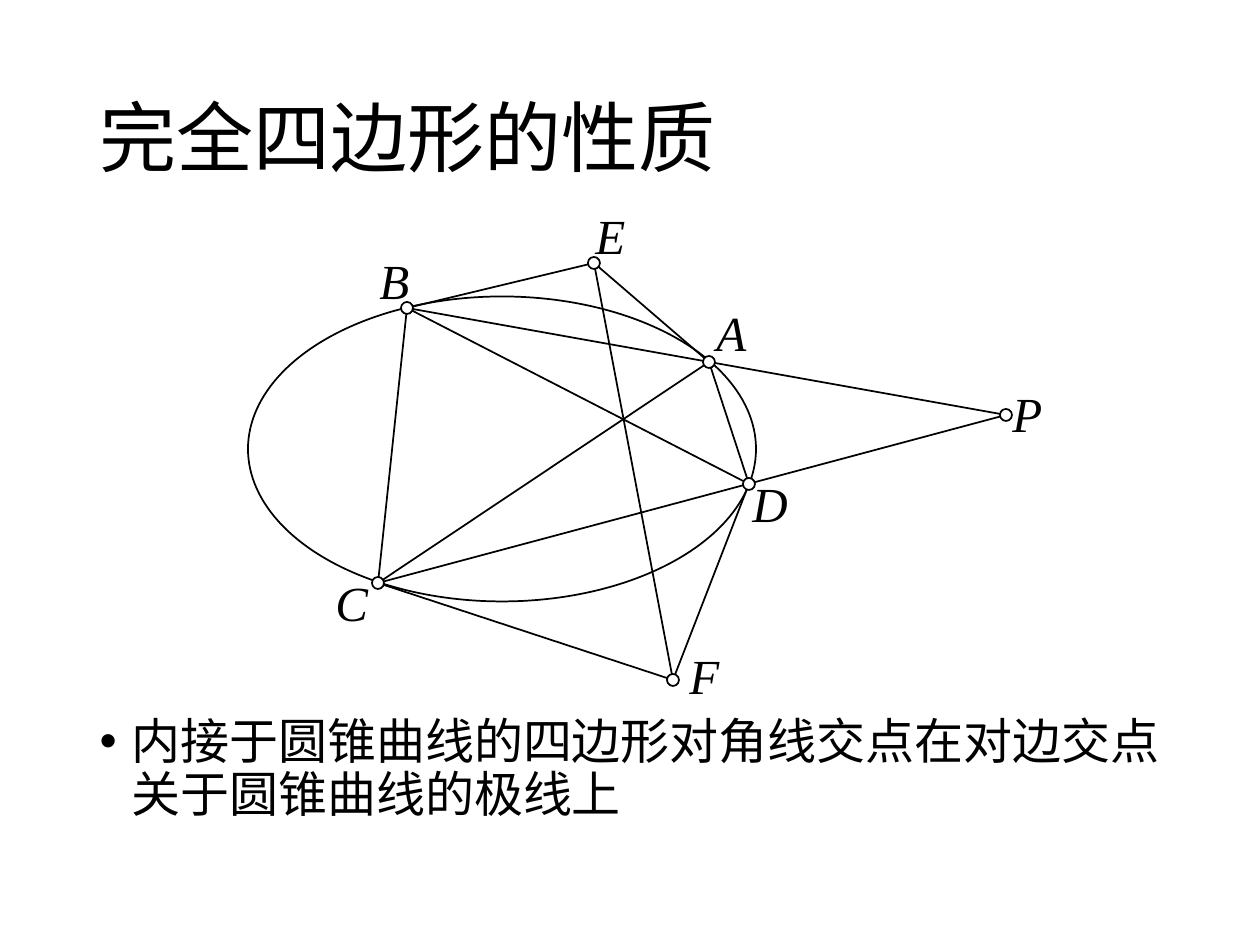
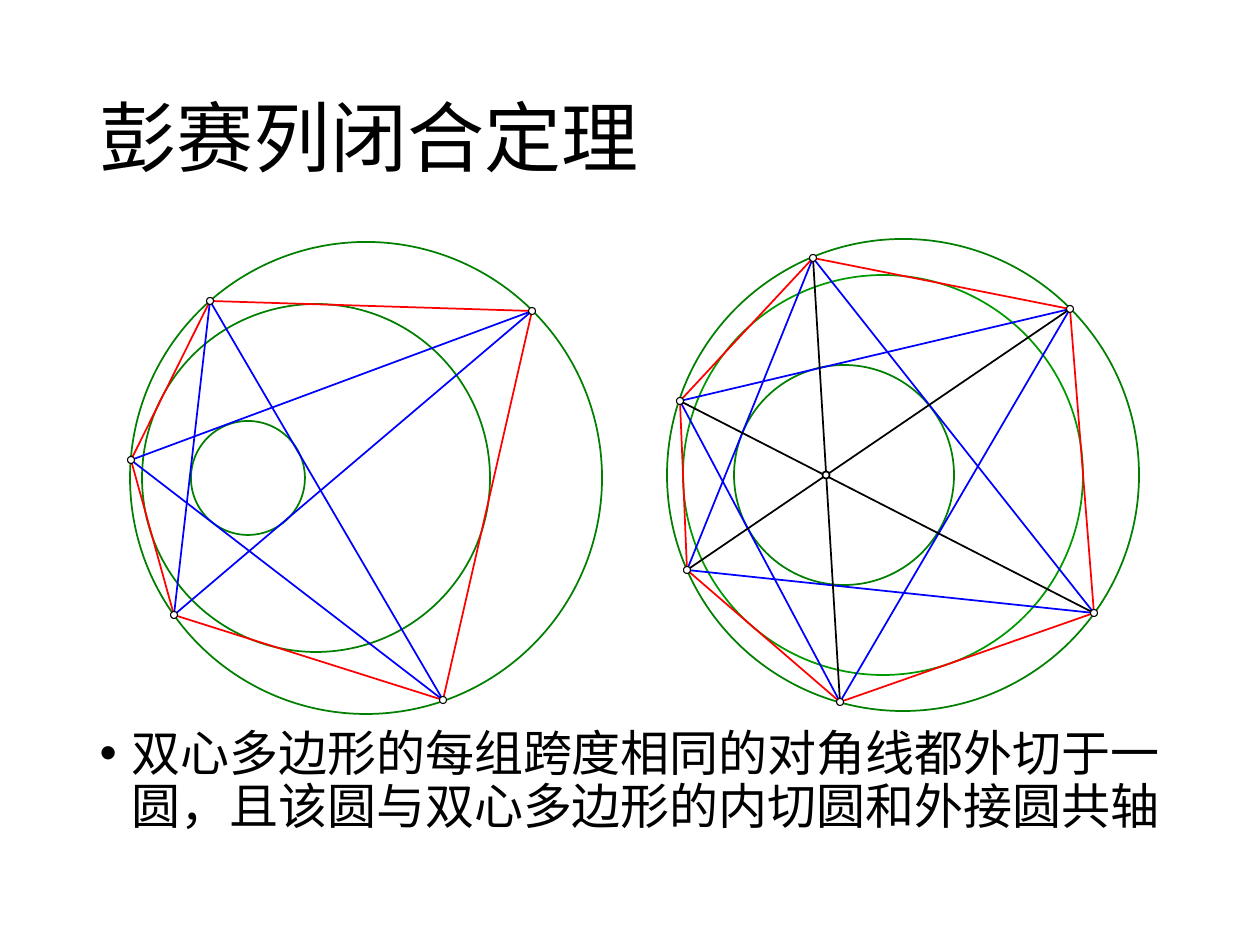
from dataclasses import dataclass
from typing import NamedTuple

from pptx import Presentation
from pptx.dml.color import RGBColor
from pptx.enum.shapes import MSO_CONNECTOR, MSO_SHAPE
from pptx.enum.text import MSO_ANCHOR, MSO_AUTO_SIZE, PP_ALIGN
from pptx.oxml.ns import qn
from pptx.shapes.shapetree import GroupShapes
from pptx.slide import Slide
from pptx.util import Emu, Pt

# Shared style
EMU_PER_PX = 914400 / 126
COLORS = {
    "ink": "000000",
    "paper": "FFFFFF",
    "circle": "007F00",
    "incircle": "009900",
    "side": "FF0000",
    "diagonal": "0000FF",
}
CJK_FONT = "Noto Sans CJK SC"
LABEL_FONT = "Times New Roman"
MARGIN, CONTENT_W = 87, 1086
TITLE_TOP, TITLE_H = 50, 183
BODY_BOTTOM = 852
BULLET_INDENT = 32
LABEL_H = 72


class Point(NamedTuple):
    x: int
    y: int


class Label(NamedTuple):
    text: str
    left: int
    top: int
    width: int = 55


class Oval(NamedTuple):
    center: Point
    rx: float
    ry: float
    color: str = "circle"


@dataclass
class PonceletFigure:
    circles: list[Oval]
    vertices: list[Point]
    chord_colors: dict[int, str]  # vertices spanned -> colour, back to front
    center: Point | None = None


def px(n: float) -> Emu:
    return Emu(round(n * EMU_PER_PX))


def rgb(name: str) -> RGBColor:
    return RGBColor.from_string(COLORS[name])


# Drawing helpers
def draw_oval(shapes: GroupShapes, oval: Oval, weight: float = 1, fill: str | None = None) -> None:
    (x, y), rx, ry, color = oval
    sp = shapes.add_shape(MSO_SHAPE.OVAL, px(x - rx), px(y - ry), px(2 * rx), px(2 * ry))
    sp.shadow.inherit = False
    if fill:
        sp.fill.solid()
        sp.fill.fore_color.rgb = rgb(fill)
    else:
        sp.fill.background()
    sp.line.color.rgb = rgb(color)
    sp.line.width = Pt(weight)


def draw_dot(shapes: GroupShapes, p: Point, size: int, weight: float = 1) -> None:
    draw_oval(shapes, Oval(p, size / 2, size / 2, "ink"), weight, "paper")


def draw_line(shapes: GroupShapes, a: Point, b: Point, color: str = "ink") -> None:
    line = shapes.add_connector(MSO_CONNECTOR.STRAIGHT, px(a.x), px(a.y), px(b.x), px(b.y))
    line.line.color.rgb = rgb(color)
    line.line.width = Pt(1)
    sp_pr = line._element.spPr
    sp_pr.append(sp_pr.makeelement(qn("a:effectLst"), {}))


def add_run(p, text: str, size: int, font: str, italic: bool = False) -> None:
    r = p.add_run()
    r.text = text
    r.font.size = Pt(size)
    r.font.name = font
    r.font.italic = italic
    r.font.color.rgb = rgb("ink")
    r_pr = r.font._element
    r_pr.find(qn("a:latin")).addnext(r_pr.makeelement(qn("a:ea"), {"typeface": font}))


def draw_label(s: Slide, label: Label) -> None:
    box = s.shapes.add_textbox(px(label.left), px(label.top), px(label.width), px(LABEL_H))
    tf = box.text_frame
    tf.word_wrap = False
    tf.auto_size = MSO_AUTO_SIZE.SHAPE_TO_FIT_TEXT
    add_run(tf.paragraphs[0], label.text, 28, LABEL_FONT, italic=True)


def fill_placeholder(sp, top: int, height: int, text: str, size: int, anchor: MSO_ANCHOR):
    sp.left, sp.top, sp.width, sp.height = px(MARGIN), px(top), px(CONTENT_W), px(height)
    tf = sp.text_frame
    tf.word_wrap = True
    tf.auto_size = MSO_AUTO_SIZE.NONE
    tf.vertical_anchor = anchor
    p = tf.paragraphs[0]
    p.alignment = PP_ALIGN.LEFT
    p.line_spacing = 0.9
    p.space_before = Pt(0)
    add_run(p, text, size, CJK_FONT)
    return p


def add_theorem_slide(prs, title: str, theorem: str, body_top: int) -> Slide:
    s = prs.slides.add_slide(prs.slide_layouts[1])
    fill_placeholder(s.shapes.title, TITLE_TOP, TITLE_H, title, 44, MSO_ANCHOR.MIDDLE)
    p = fill_placeholder(s.placeholders[1], body_top, BODY_BOTTOM - body_top,
                         theorem, 28, MSO_ANCHOR.TOP)
    p_pr = p._p.get_or_add_pPr()
    p_pr.set("marL", str(px(BULLET_INDENT)))
    p_pr.set("indent", str(-px(BULLET_INDENT)))
    p_pr.append(p_pr.makeelement(qn("a:buChar"), {"char": "•"}))
    return s


# Complete quadrilateral inscribed in a conic
CONIC = Oval(Point(502, 449), 254, 152.5, "ink")
QUAD_POINTS = {
    "A": Point(709, 362),
    "B": Point(407, 308),
    "C": Point(378, 583),
    "D": Point(749, 484),
    "E": Point(594, 263),
    "F": Point(673, 680),
    "P": Point(1006, 415),
}
QUAD_LINES = ["BD", "AC", "EF", "BE", "EA", "DF", "CF", "BC", "AD", "BP", "CP"]
QUAD_LABELS = [
    Label("A", 704, 296),
    Label("B", 367, 244),
    Label("C", 323, 566, 58),
    Label("D", 740, 467, 62),
    Label("P", 1000, 377),
    Label("E", 583, 199),
    Label("F", 677, 639),
]


def draw_quadrilateral(s: Slide) -> None:
    shapes = s.shapes.add_group_shape().shapes
    draw_oval(shapes, CONIC)
    for start, end in QUAD_LINES:
        draw_line(shapes, QUAD_POINTS[start], QUAD_POINTS[end])
    for p in QUAD_POINTS.values():
        draw_dot(shapes, p, 12)
    for label in QUAD_LABELS:
        draw_label(s, label)


# Bicentric polygons
PENTAGON = PonceletFigure(
    circles=[
        Oval(Point(316, 478), 174, 174),
        Oval(Point(366, 478), 236, 236),
        Oval(Point(248, 478), 57, 57),
    ],
    vertices=[Point(532, 311), Point(210, 301), Point(131, 460),
              Point(174, 615), Point(443, 700)],
    chord_colors={1: "side", 2: "diagonal"},
)
HEXAGON = PonceletFigure(
    circles=[
        Oval(Point(903, 475), 236, 236),
        Oval(Point(844, 475), 110, 110),
        Oval(Point(883, 475), 200, 200, "incircle"),
    ],
    vertices=[Point(1070, 309), Point(813, 258), Point(680, 401),
              Point(687, 570), Point(840, 702), Point(1094, 613)],
    chord_colors={2: "diagonal", 3: "ink", 1: "side"},
    center=Point(826, 475),
)


def draw_poncelet(s: Slide, fig: PonceletFigure) -> None:
    shapes = s.shapes.add_group_shape().shapes
    for circle in fig.circles:
        draw_oval(shapes, circle)
    n = len(fig.vertices)
    for span, color in fig.chord_colors.items():
        count = span if 2 * span == n else n  # opposite vertices share one chord
        for i in range(count):
            draw_line(shapes, fig.vertices[i], fig.vertices[(i + span) % n], color)
    if fig.center:
        draw_dot(shapes, fig.center, 7)
    for vertex in fig.vertices:
        draw_dot(shapes, vertex, 7, 0.63)


def main() -> None:
    prs = Presentation()
    prs.slide_width, prs.slide_height = px(1260), px(945)

    s = add_theorem_slide(prs, "完全四边形的性质",
                          "内接于圆锥曲线的四边形对角线交点在对边交点关于圆锥曲线的极线上", 711)
    draw_quadrilateral(s)

    s = add_theorem_slide(prs, "彭赛列闭合定理",
                          "双心多边形的每组跨度相同的对角线都外切于一圆，"
                          "且该圆与双心多边形的内切圆和外接圆共轴", 723)
    for fig in (PENTAGON, HEXAGON):
        draw_poncelet(s, fig)

    prs.save("out.pptx")


if __name__ == "__main__":
    main()
